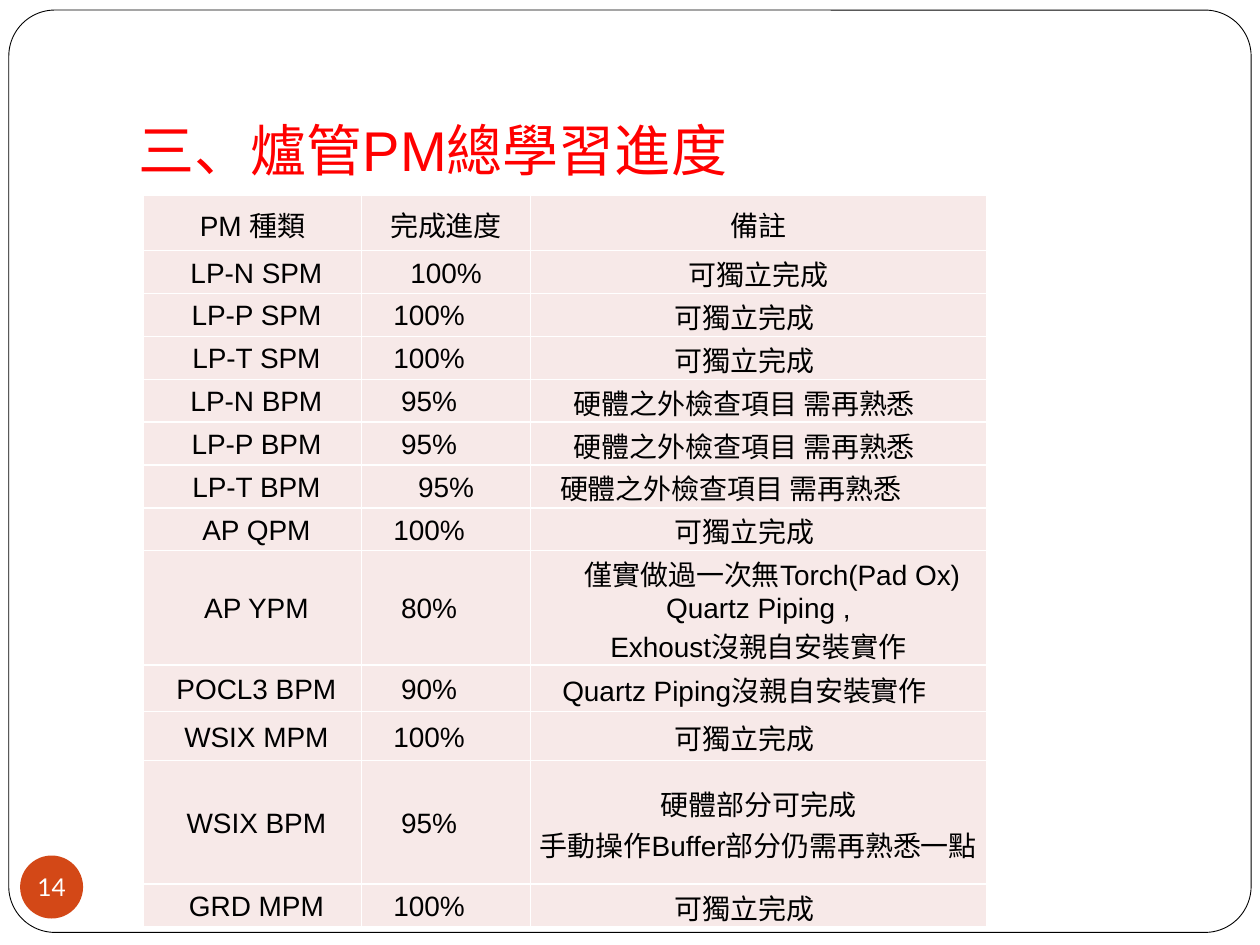
from dataclasses import dataclass

from lxml import etree
from pptx import Presentation
from pptx.dml.color import RGBColor
from pptx.enum import shapes as shp, text as txt
from pptx.oxml.ns import qn
from pptx.util import Inches, Pt

BLACK = RGBColor(0x00, 0x00, 0x00)
WHITE = RGBColor(0xFF, 0xFF, 0xFF)
RED = RGBColor(0xFF, 0x00, 0x00)
ORANGE = RGBColor(0xD3, 0x48, 0x17)
PINK = RGBColor(0xF7, 0xE9, 0xE8)

COLUMN_WIDTHS = (1.73, 1.34, 3.62)
PAD = 0.02
NAME_PAD = 0.08      # left padding of the PM names
PROGRESS_PAD = 0.29  # right padding of most percentages
REMARK_PAD = 0.24    # right padding of most remarks
ALONE = "可獨立完成"
CHECKS = "硬體之外檢查項目 需再熟悉"


@dataclass
class PmRow:
    name: str
    progress: str
    remark: str
    height: float = 0.32
    name_pad: float = NAME_PAD
    progress_pad: float = PROGRESS_PAD
    remark_pad: float = REMARK_PAD
    remark_indent: float = 0


PM_ROWS = [
    PmRow("PM 種類", "完成進度", "備註", 0.44, PAD, PAD, PAD),
    PmRow("LP-N SPM", "100%", ALONE, progress_pad=PAD, remark_pad=PAD),
    PmRow("LP-P SPM", "100%", ALONE),
    PmRow("LP-T SPM", "100%", ALONE),
    PmRow("LP-N BPM", "95%", CHECKS),
    PmRow("LP-P BPM", "95%", CHECKS),
    PmRow("LP-T BPM", "95%", CHECKS, progress_pad=PAD, remark_pad=0.46),
    PmRow("AP QPM", "100%", ALONE),
    PmRow("AP YPM", "80%",
          "僅實做過一次無Torch(Pad Ox) Quartz Piping ,\nExhoust沒親自安裝實作",
          remark_pad=PAD, remark_indent=0.22),
    PmRow("POCL3 BPM", "90%", "Quartz Piping沒親自安裝實作", 0.37),
    PmRow("WSIX MPM", "100%", ALONE, 0.39),
    PmRow("WSIX BPM", "95%", "硬體部分可完成\n手動操作Buffer部分仍需再熟悉一點",
          remark_pad=PAD),
    PmRow("GRD MPM", "100%", ALONE),
]


def set_all(target, values: dict) -> None:
    for name, value in values.items():
        setattr(target, name, value)


def style_font(font, size: float, face: str, color: RGBColor) -> None:
    set_all(font, {"size": Pt(size), "name": face})
    font.color.rgb = color


def add_filled(slide, preset, box: tuple, color: RGBColor):
    shape = slide.shapes.add_shape(preset, *map(Inches, box))
    shape.shadow.inherit = False
    shape.fill.solid()
    shape.fill.fore_color.rgb = color
    return shape


def add_frame(slide) -> None:
    """Page outline, placed behind everything else."""
    frame = add_filled(slide, shp.MSO_SHAPE.ROUNDED_RECTANGLE,
                       (0.07, 0.08, 9.86, 7.32), WHITE)
    frame.adjustments[0] = 0.05
    frame.line.color.rgb = BLACK
    frame.line.width = Pt(0.5)
    tree = frame._element.getparent()
    tree.insert(2, frame._element)


def set_title(title) -> None:
    set_all(title, {"left": Inches(1), "top": Inches(0.3),
                    "width": Inches(8.5), "height": Inches(1.25)})
    frame = title.text_frame
    frame.text = "三、爐管PM總學習進度"
    set_all(frame, {"vertical_anchor": txt.MSO_ANCHOR.BOTTOM,
                    "auto_size": txt.MSO_AUTO_SIZE.NONE,
                    "margin_bottom": Inches(0.1)})
    paragraph = frame.paragraphs[0]
    paragraph.alignment = txt.PP_ALIGN.LEFT
    style_font(paragraph.runs[0].font, 32, "Arial", RED)


def add_borders(cell) -> None:
    properties = cell._tc.get_or_add_tcPr()
    for side in ("a:lnL", "a:lnR", "a:lnT", "a:lnB"):
        line = etree.SubElement(properties, qn(side), w=str(Pt(1)))
        fill = etree.SubElement(line, qn("a:solidFill"))
        etree.SubElement(fill, qn("a:srgbClr"), val=str(WHITE))


def fill_cell(cell, content: str, left: float = PAD, right: float = PAD,
              indent: float = 0) -> None:
    add_borders(cell)
    cell.fill.solid()
    cell.fill.fore_color.rgb = PINK
    set_all(cell, {"vertical_anchor": txt.MSO_ANCHOR.MIDDLE,
                   "margin_left": Inches(left), "margin_right": Inches(right),
                   "margin_top": Inches(PAD), "margin_bottom": 0})
    cell.text = content
    for paragraph in cell.text_frame.paragraphs:
        paragraph.alignment = txt.PP_ALIGN.CENTER
        style_font(paragraph.runs[0].font, 16, "Arial", BLACK)
    if indent:
        first = cell.text_frame.paragraphs[0]
        first._p.get_or_add_pPr().set("indent", str(Inches(indent)))


def add_progress_table(slide, rows: list[PmRow]) -> None:
    table = slide.shapes.add_table(
        len(rows), len(COLUMN_WIDTHS), Inches(1.14), Inches(1.55),
        Inches(sum(COLUMN_WIDTHS)), Inches(sum(r.height for r in rows))).table
    set_all(table, {"first_row": False, "horz_banding": False})
    for column, width in zip(table.columns, COLUMN_WIDTHS):
        column.width = Inches(width)
    for index, row in enumerate(rows):
        table.rows[index].height = Inches(row.height)
        fill_cell(table.cell(index, 0), row.name, left=row.name_pad)
        fill_cell(table.cell(index, 1), row.progress, right=row.progress_pad)
        fill_cell(table.cell(index, 2), row.remark, right=row.remark_pad,
                  indent=row.remark_indent)


def add_page_number(slide, number: str) -> None:
    badge = add_filled(slide, shp.MSO_SHAPE.OVAL, (0.16, 6.79, 0.5, 0.5), ORANGE)
    badge.line.fill.background()
    frame = badge.text_frame
    frame.text = number
    set_all(frame, {"margin_left": 0, "margin_right": 0, "margin_top": 0,
                    "margin_bottom": 0, "word_wrap": False,
                    "vertical_anchor": txt.MSO_ANCHOR.MIDDLE})
    frame.paragraphs[0].alignment = txt.PP_ALIGN.CENTER
    style_font(frame.paragraphs[0].runs[0].font, 14, "Lato", WHITE)


def main() -> None:
    deck = Presentation()
    set_all(deck, {"slide_width": Inches(10), "slide_height": Inches(7.5)})
    slide = deck.slides.add_slide(deck.slide_layouts[5])
    add_frame(slide)
    set_title(slide.shapes.title)
    add_progress_table(slide, PM_ROWS)
    add_page_number(slide, "14")
    deck.save("out.pptx")


if __name__ == "__main__":
    main()
